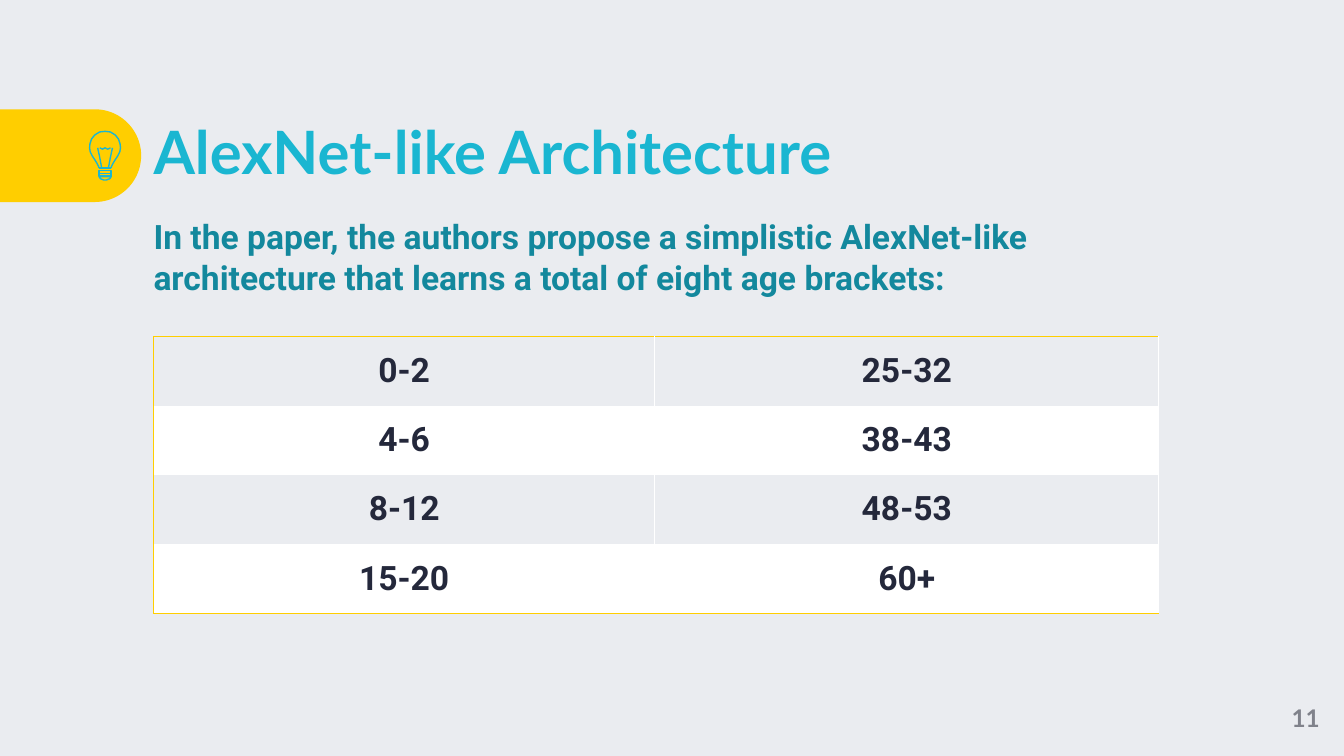
from lxml import etree
from pptx import Presentation
from pptx import util as u
from pptx.dml.color import RGBColor
from pptx.enum import shapes, text
from pptx.oxml import ns

GRID = 0.1  # inches per grid column and row
YELLOW, CYAN, TEAL = "FFCE00", "1AB6D1", "13889D"
NAVY, GREY, WHITE, PALE = "24283B", "80828B", "FFFFFF", "EAECF0"
LEFT, TABLE_WIDTHS, ROW_HEIGHT = 11.42, (37.3, 37.5), 5.15
BRACKETS = [("0-2", "25-32"), ("4-6", "38-43"), ("8-12", "48-53"), ("15-20", "60+")]

# Bulb geometry, in grid units: the axis and half outlines as (offset, row)
AXIS = 7.82
GLASS_HALF = [(0, 9.77), (0.4, 9.82), (0.75, 10.03), (1, 10.33), (1.12, 10.7),
              (1.15, 11), (1.1, 11.3), (0.95, 11.6), (0.75, 11.9),
              (0.6, 12.15), (0.5, 12.35), (0.45, 12.5)]
TIP_HALF = [(0, 13.4), (0.1, 13.4), (0.35, 13.3), (0.45, 13.15)]
FILAMENT = [(-0.4, 11), (-0.2, 11.1), (0, 11), (0.2, 11.1), (0.4, 11)]


def color(value):
    return RGBColor.from_string(value)


def grid(value):
    return u.Inches(value * GRID)


def mirrored(half):
    """Joins a half outline with its reflection across the bulb's axis."""
    return [(-x, y) for x, y in reversed(half)] + half[1:]


class Deck:
    def __init__(self, columns, rows):
        self.presentation = Presentation()
        self.presentation.slide_width = grid(columns)
        self.presentation.slide_height = grid(rows)
        self.slide = None

    def new_slide(self, background):
        self.slide = self.presentation.slides.add_slide(self.presentation.slide_layouts[5])
        self.slide.background.fill.solid()
        self.slide.background.fill.fore_color.rgb = color(background)

    def format_text(self, frame, font, size, hue, align, anchor):
        frame.word_wrap = True
        frame.auto_size = text.MSO_AUTO_SIZE.NONE
        frame.margin_left = frame.margin_right = frame.margin_top = frame.margin_bottom = 0
        frame.vertical_anchor = anchor
        self.format_paragraph(frame.paragraphs[0], font, size, hue, align)

    def format_paragraph(self, paragraph, font, size, hue, align):
        paragraph.alignment = align
        for run in paragraph.runs:
            run.font.name, run.font.size, run.font.bold = font, u.Pt(size), True
            run.font.color.rgb = color(hue)

    def title(self, words, box):
        shape = self.slide.shapes.title
        shape.left, shape.top, shape.width, shape.height = map(grid, box)
        shape.text_frame.text = words
        self.format_text(shape.text_frame, "Lato", 32, CYAN,
                         text.PP_ALIGN.LEFT, text.MSO_ANCHOR.MIDDLE)
        shape.text_frame.paragraphs[0].line_spacing = 0.9

    def text_box(self, words, box, font, size, hue,
                 align=text.PP_ALIGN.LEFT, anchor=text.MSO_ANCHOR.TOP):
        frame = self.slide.shapes.add_textbox(*map(grid, box)).text_frame
        frame.text = words
        self.format_text(frame, font, size, hue, align, anchor)

    def tab(self, box, fill):
        shape = self.slide.shapes.add_shape(
            shapes.MSO_SHAPE.ROUND_2_SAME_RECTANGLE, *map(grid, box))
        shape.adjustments[0], shape.adjustments[1] = 0.5, 0
        shape.rotation = 90
        shape.shadow.inherit = False
        shape.fill.solid()
        shape.fill.fore_color.rgb = color(fill)
        shape.line.fill.background()

    def outline(self, points, closed=False):
        places = [(grid(AXIS + x), grid(y)) for x, y in points]
        builder = self.slide.shapes.build_freeform(*places[0])
        builder.add_line_segments(places[1:], close=closed)
        shape = builder.convert_to_shape()
        shape.shadow.inherit = False
        shape.fill.background()
        self.stroke(shape)

    def segment(self, start, end):
        (x1, y1), (x2, y2) = start, end
        connector = self.slide.shapes.add_connector(
            shapes.MSO_CONNECTOR.STRAIGHT,
            grid(AXIS + x1), grid(y1), grid(AXIS + x2), grid(y2))
        etree.SubElement(connector._element.spPr, ns.qn("a:effectLst"))
        self.stroke(connector)

    def stroke(self, shape):
        shape.line.color.rgb = color(CYAN)
        shape.line.width = u.Pt(0.75)

    def border(self, cell, side, hue):
        properties = cell._tc.get_or_add_tcPr()
        line = etree.SubElement(properties, ns.qn("a:ln" + side), w=str(u.Pt(0.75)))
        if hue is None:
            etree.SubElement(line, ns.qn("a:noFill"))
        else:
            fill = etree.SubElement(line, ns.qn("a:solidFill"))
            etree.SubElement(fill, ns.qn("a:srgbClr"), val=hue)

    def table(self, rows, left, top, widths, row_height):
        table = self.slide.shapes.add_table(
            len(rows), len(widths), grid(left), grid(top),
            grid(sum(widths)), grid(row_height * len(rows))).table
        table.first_row = table.horz_banding = False
        for column, width in zip(table.columns, widths):
            column.width = grid(width)
        for r, values in enumerate(rows):
            table.rows[r].height = grid(row_height)
            for c, value in enumerate(values):
                cell = table.cell(r, c)
                cell.text_frame.text = value
                cell.vertical_anchor = text.MSO_ANCHOR.MIDDLE
                cell.margin_left = cell.margin_right = grid(1)
                cell.margin_top = cell.margin_bottom = grid(0.7)
                self.format_paragraph(cell.text_frame.paragraphs[0], "Roboto", 18,
                                      NAVY, text.PP_ALIGN.CENTER)
                self.border(cell, "L", YELLOW if c == 0 else WHITE)
                self.border(cell, "R", WHITE)
                self.border(cell, "T", YELLOW if r == 0 else None)
                self.border(cell, "B", YELLOW if r == len(rows) - 1 else None)
                if r % 2:
                    cell.fill.solid()
                    cell.fill.fore_color.rgb = color(WHITE)
                else:
                    cell.fill.background()

    def bulb(self):
        # Screw base: two bands and a rounded tip
        for top in (12.9, 12.7):
            self.outline([(-0.45, top), (0.45, top),
                          (0.45, top + 0.2), (-0.45, top + 0.2)], closed=True)
        self.outline(mirrored(TIP_HALF), closed=True)
        # Glass with its neck, filament and supports
        self.outline(mirrored(GLASS_HALF))
        self.segment((-0.45, 12.5), (0.45, 12.5))
        self.outline(FILAMENT)
        for side in (-1, 1):
            self.outline([(side * 0.55, 11), (side * 0.4, 11.7), (side * 0.25, 12.5)])


def main():
    deck = Deck(100, 56.25)
    deck.new_slide(PALE)

    # Heading with its tab and icon
    deck.tab((1.8, 6.33, 6.9, 10.5), YELLOW)
    deck.title("AlexNet-like Architecture", (LEFT, 8.13, 78.8, 6.9))
    deck.bulb()

    # Introduction and age brackets
    deck.text_box("In the paper, the authors propose a simplistic AlexNet-like "
                  "architecture that learns a total of eight age brackets:",
                  (LEFT, 16.08, sum(TABLE_WIDTHS), 6.9), "Roboto", 18, TEAL)
    deck.table(BRACKETS, LEFT, 25.03, TABLE_WIDTHS, ROW_HEIGHT)

    # Page number
    deck.text_box("11", (94.3, 50.63, 5.7, 5.6), "Lato", 13, GREY,
                  text.PP_ALIGN.CENTER, text.MSO_ANCHOR.MIDDLE)

    deck.presentation.save("out.pptx")


if __name__ == "__main__":
    main()
